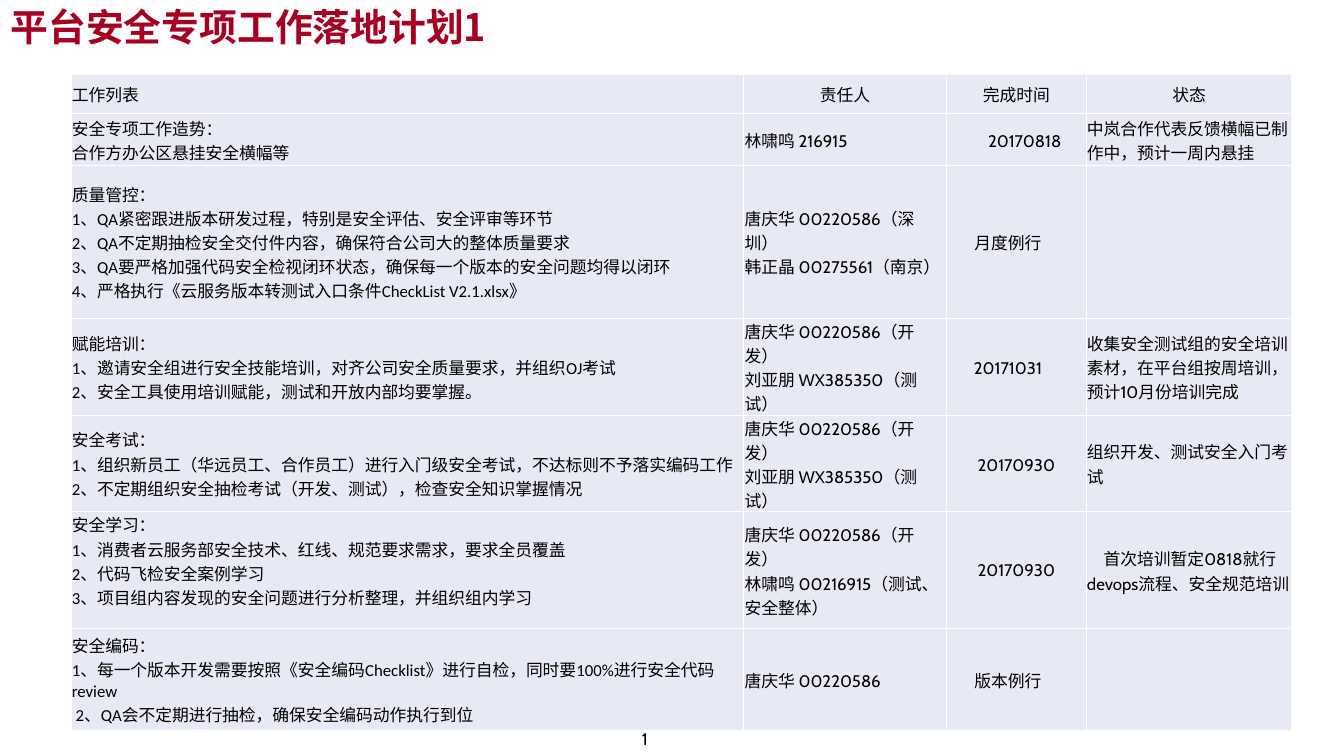
from lxml import etree
from pptx import Presentation
from pptx.dml.color import RGBColor
from pptx.enum import text
from pptx.oxml.ns import qn
from pptx.util import Inches, Pt

COLUMN_WIDTHS = [8.9, 2.68, 1.85, 2.72]
ROW_HEIGHTS = [0.52, 0.69, 2.02, 1.28, 1.28, 1.55, 1.34]
CENTER = text.PP_ALIGN.CENTER
LEFT = text.PP_ALIGN.LEFT
TOP = text.MSO_ANCHOR.TOP
MIDDLE = text.MSO_ANCHOR.MIDDLE

HEADERS = ["工作列表", "责任人", "完成时间", "状态"]

# Each plan: task lines, owners, due date, status
PLANS = [
    (["安全专项工作造势：", "合作方办公区悬挂安全横幅等"],
     ["林啸鸣 216915"], "　20170818",
     "中岚合作代表反馈横幅已制作中，预计一周内悬挂"),
    (["质量管控：",
      "1、QA紧密跟进版本研发过程，特别是安全评估、安全评审等环节",
      "2、QA不定期抽检安全交付件内容，确保符合公司大的整体质量要求",
      "3、QA要严格加强代码安全检视闭环状态，确保每一个版本的安全问题均得以闭环",
      "4、严格执行《云服务版本转测试入口条件CheckList V2.1.xlsx》"],
     ["唐庆华 00220586（深圳）", "韩正晶 00275561（南京）"], "月度例行　", ""),
    (["赋能培训：",
      "1、邀请安全组进行安全技能培训，对齐公司安全质量要求，并组织OJ考试",
      "2、安全工具使用培训赋能，测试和开放内部均要掌握。"],
     ["唐庆华 00220586（开发）", "刘亚朋 WX385350（测试）"], "20171031　",
     "收集安全测试组的安全培训素材，在平台组按周培训，预计10月份培训完成"),
    (["安全考试：",
      "1、组织新员工（华远员工、合作员工）进行入门级安全考试，不达标则不予落实编码工作",
      "2、不定期组织安全抽检考试（开发、测试），检查安全知识掌握情况"],
     ["唐庆华 00220586（开发）", "刘亚朋 WX385350（测试）"], "　20170930　",
     "组织开发、测试安全入门考试"),
    (["安全学习：",
      "1、消费者云服务部安全技术、红线、规范要求需求，要求全员覆盖",
      "2、代码飞检安全案例学习",
      "3、项目组内容发现的安全问题进行分析整理，并组织组内学习"],
     ["唐庆华 00220586（开发）", "林啸鸣 00216915（测试、安全整体）"], "20170930",
     "　首次培训暂定0818就行devops流程、安全规范培训"),
    (["安全编码：",
      "1、每一个版本开发需要按照《安全编码Checklist》进行自检，同时要100%进行安全代码review",
      " 2、QA会不定期进行抽检，确保安全编码动作执行到位"],
     ["唐庆华 00220586"], "版本例行　", ""),
]


def color(value):
    return RGBColor.from_string(value)


def write_paragraphs(frame, lines, font_name, size=16, font_color="000000",
                     bold=False, align=LEFT):
    for index, line in enumerate(lines):
        paragraph = frame.paragraphs[0] if index == 0 else frame.add_paragraph()
        paragraph.text = line
        paragraph.alignment = align
        font = paragraph.font
        font.name = font_name
        font.size = Pt(size)
        font.bold = bold
        font.color.rgb = color(font_color)


def add_text(slide, left, top, width, height, content, font_name, **style):
    box = slide.shapes.add_textbox(Inches(left), Inches(top), Inches(width), Inches(height))
    frame = box.text_frame
    frame.word_wrap = True
    write_paragraphs(frame, [content], font_name, **style)
    return frame


def add_borders(cell, line_color="FFFFFF", width=1):
    properties = cell._tc.get_or_add_tcPr()
    for side in ("lnL", "lnR", "lnT", "lnB"):
        line = etree.SubElement(properties, qn(f"a:{side}"), w=str(Pt(width)))
        fill = etree.SubElement(line, qn("a:solidFill"))
        etree.SubElement(fill, qn("a:srgbClr"), val=line_color)


def fill_cell(cell, lines, font_name, align=LEFT, anchor=MIDDLE):
    add_borders(cell)
    cell.fill.solid()
    cell.fill.fore_color.rgb = color("E7EAF4")
    cell.margin_left = cell.margin_right = cell.margin_top = Inches(0.01)
    cell.margin_bottom = 0
    cell.vertical_anchor = anchor
    write_paragraphs(cell.text_frame, lines, font_name, align=align)


def add_plan_table(slide):
    table = slide.shapes.add_table(
        len(ROW_HEIGHTS), len(COLUMN_WIDTHS), Inches(0.94), Inches(0.98),
        Inches(sum(COLUMN_WIDTHS)), Inches(sum(ROW_HEIGHTS))).table
    table.first_row = table.horz_banding = False
    for column, width in zip(table.columns, COLUMN_WIDTHS):
        column.width = Inches(width)
    for row, height in zip(table.rows, ROW_HEIGHTS):
        row.height = Inches(height)

    for index, header in enumerate(HEADERS):
        fill_cell(table.cell(0, index), [header], "Calibri", LEFT if index == 0 else CENTER)
    for index, (tasks, owners, due, status) in enumerate(PLANS, start=1):
        anchor = TOP if tasks[0] == "安全学习：" else MIDDLE
        fill_cell(table.cell(index, 0), ["\n".join(tasks)], "Calibri", anchor=anchor)
        fill_cell(table.cell(index, 1), owners, "Cabin")
        fill_cell(table.cell(index, 2), [due], "Cabin", CENTER)
        fill_cell(table.cell(index, 3), [status], "Cabin")


def main():
    presentation = Presentation()
    presentation.slide_width = Inches(17.78)
    presentation.slide_height = Inches(10)
    slide = presentation.slides.add_slide(presentation.slide_layouts[6])

    add_text(slide, 8.18, 9.59, 0.7, 0.37, "1", "Cabin", align=CENTER)
    title = add_text(slide, 0.04, 0.05, 14.8, 0.62, "平台安全专项工作落地计划1",
                     "Noto Sans CJK SC", size=36, font_color="A50021", bold=True)
    title.margin_top = title.margin_bottom = 0
    add_plan_table(slide)
    presentation.save("out.pptx")


if __name__ == "__main__":
    main()
